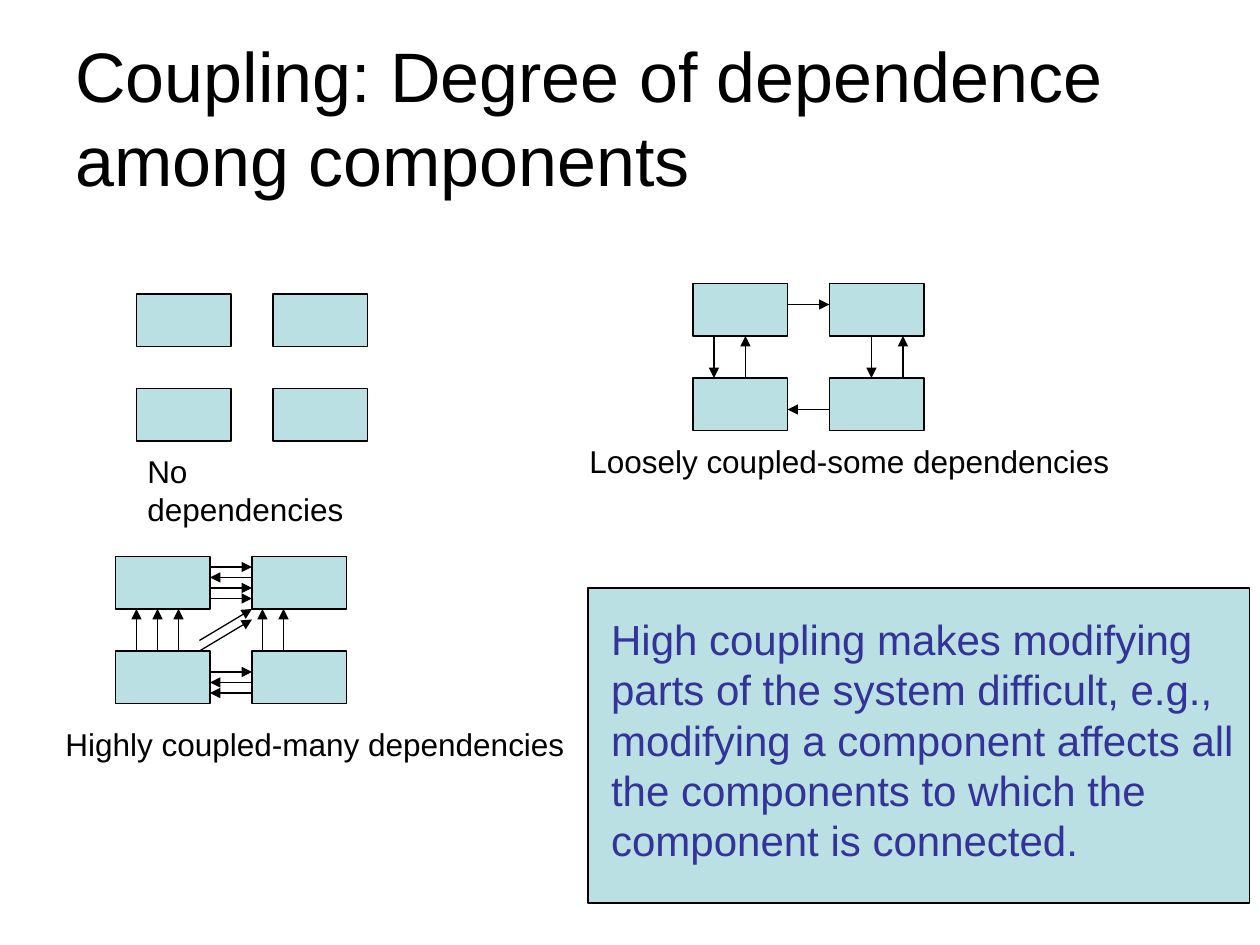
from lxml import etree
from pptx import Presentation
from pptx.dml.color import RGBColor
from pptx.enum.shapes import MSO_CONNECTOR, MSO_SHAPE
from pptx.enum.text import MSO_ANCHOR, MSO_AUTO_SIZE
from pptx.oxml.ns import qn
from pptx.util import Cm, Pt

GRID_CM = 2.54 / 12
BOX_WIDTH, BOX_HEIGHT = 9, 5
COLUMNS, ROWS = (0, 13), (0, 9)

LOOSE_ARROWS = [
    (9, 2, 13, 2), (2, 5, 2, 9), (17, 5, 17, 9),
    (5, 9, 5, 5), (20, 9, 20, 5), (13, 12, 9, 12),
]
HIGH_ARROWS = (
    [(x, 9, x, 5) for x in (2, 4, 6, 14, 16)]
    + [(9, y, 13, y) for y in (1, 3, 4, 11)]
    + [(13, y, 9, y) for y in (2, 12, 13)]
    + [(8, 8, 13, 5), (8, 9, 13, 6)]
)


def grid(*units):
    return [Cm(unit * GRID_CM) for unit in units]


def color(value):
    return RGBColor.from_string(value)


def write(text_frame, text, size=18, font_color="000000", space_before=0):
    paragraph = text_frame.paragraphs[0]
    paragraph.space_before = Pt(space_before)
    run = paragraph.add_run()
    run.text = text
    run.font.name = "Arial"
    run.font.size = Pt(size)
    run.font.color.rgb = color(font_color)


class Diagram:
    fill = "BBE0E3"
    line = "000000"
    line_width = Pt(0.75)

    def __init__(self, slide):
        self.slide = slide

    def rectangle(self, left, top, width, height):
        shape = self.slide.shapes.add_shape(
            MSO_SHAPE.RECTANGLE, *grid(left, top, width, height))
        shape.shadow.inherit = False
        shape.fill.solid()
        shape.fill.fore_color.rgb = color(self.fill)
        shape.line.color.rgb = color(self.line)
        shape.line.width = self.line_width

    def arrow(self, *ends):
        connector = self.slide.shapes.add_connector(
            MSO_CONNECTOR.STRAIGHT, *grid(*ends))
        connector.line.color.rgb = color(self.line)
        connector.line.width = self.line_width
        line = connector.line._get_or_add_ln()
        etree.SubElement(line, qn("a:tailEnd"), type="triangle")
        etree.SubElement(connector._element.spPr, qn("a:effectLst"))

    def text(self, text, left, top, width, height, wrap=True,
             anchor=MSO_ANCHOR.TOP, **style):
        shape = self.slide.shapes.add_textbox(
            Cm(left), Cm(top), Cm(width), Cm(height))
        frame = shape.text_frame
        frame.word_wrap = wrap
        frame.auto_size = MSO_AUTO_SIZE.NONE if wrap else MSO_AUTO_SIZE.SHAPE_TO_FIT_TEXT
        frame.vertical_anchor = anchor
        write(frame, text, **style)

    def components(self, left, top, arrows=()):
        for column in COLUMNS:
            for row in ROWS:
                self.rectangle(left + column, top + row, BOX_WIDTH, BOX_HEIGHT)
        for x1, y1, x2, y2 in arrows:
            self.arrow(left + x1, top + y1, left + x2, top + y2)


def main():
    presentation = Presentation()
    presentation.slide_width, presentation.slide_height = Cm(25.4), Cm(19.05)
    slide = presentation.slides.add_slide(presentation.slide_layouts[6])
    diagram = Diagram(slide)

    diagram.rectangle(56, 56, 63, 30)
    diagram.text("Coupling: Degree of dependence among components",
                 1.27, 0.76, 22.86, 3.18, anchor=MSO_ANCHOR.MIDDLE, size=40)

    diagram.components(13, 28)
    diagram.components(66, 27, LOOSE_ARROWS)
    diagram.components(11, 53, HIGH_ARROWS)

    for caption, left, top, width in [
        ("No dependencies", 2.72, 8.99, 5.44),
        ("Loosely coupled-some dependencies", 11.63, 8.79, 11),
        ("Highly coupled-many dependencies", 1.07, 14.5, 10.57),
    ]:
        diagram.text(caption, left, top, width, 1.02, wrap=False)

    diagram.text(
        "High coupling makes modifying parts of the system difficult, e.g., "
        "modifying a component affects all the components to which the "
        "component is connected.",
        12.07, 12.24, 13.54, 5.33, size=24, font_color="333399", space_before=6)

    presentation.save("out.pptx")


if __name__ == "__main__":
    main()
